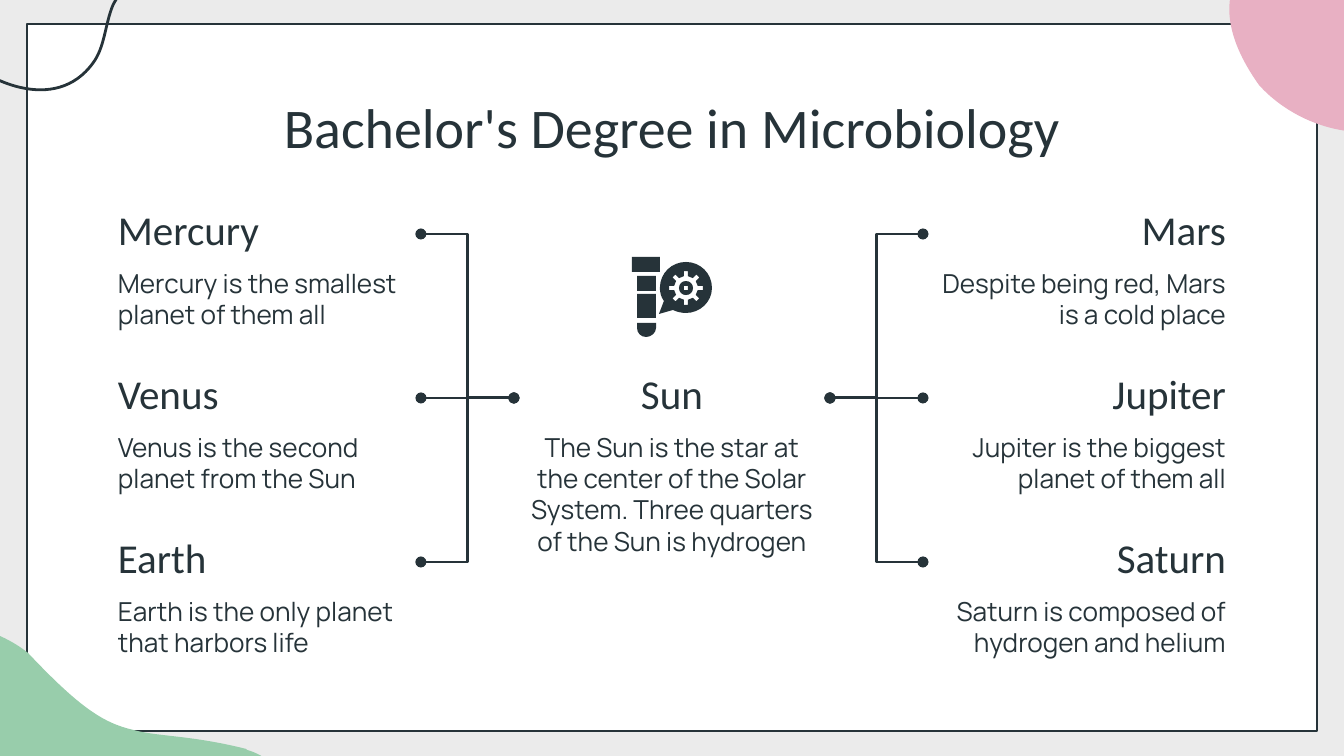
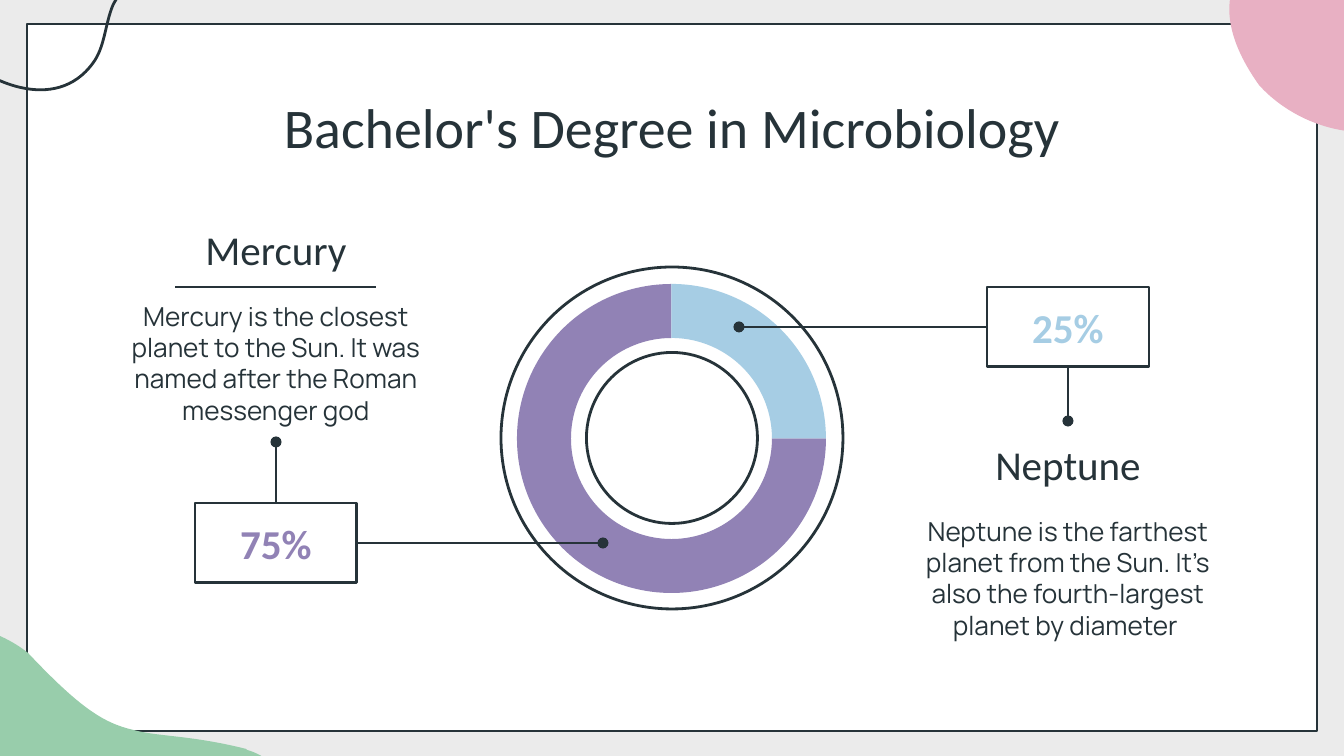
from dataclasses import dataclass
from math import cos, radians, sin

from lxml.etree import SubElement
from pptx import Presentation
from pptx.dml.color import RGBColor
from pptx.enum.shapes import MSO_CONNECTOR, MSO_SHAPE
from pptx.enum.text import MSO_ANCHOR, PP_ALIGN
from pptx.oxml.ns import qn
from pptx.util import Pt

EMU_PER_PX = 914400 * 10 / 1344
TOP, LEFT, BOTTOM, RIGHT = range(4)


@dataclass(frozen=True)
class Theme:
    backdrop: str = "EBEBEB"
    paper: str = "FFFFFF"
    ink: str = "263339"
    pink: str = "E8B0C3"
    green: str = "98CDAB"
    purple: str = "9182B5"
    blue: str = "A6CDE4"
    heading_font: str = "Calibri"
    body_font: str = "Manrope"
    title_size: int = 30
    heading_size: int = 22
    body_size: int = 14
    line_width: float = 1.5


THEME = Theme()
TITLE = "Bachelor's Degree in Microbiology"

# Outlines: a start point, then line points (x, y) or curves (x1, y1, x2, y2, x, y).
PINK_BLOB = [
    (1337, -69), (1259, -69, 1187, -16, 1259, 85), (1284, 113, 1324, 132, 1363, 132),
    (1384, 132, 1407, 125, 1425, 112), (1453, 86, 1464, 43, 1457, 7),
    (1443, -44, 1388, -69, 1337, -69),
]
GREEN_BLOB = [
    (-39, 624), (-50, 621, -59, 620, -70, 618), (-102, 612, -130, 641, -142, 671),
    (-164, 766, -70, 852, 17, 875), (20, 876, 24, 878, 28, 878),
    (98, 895, 294, 867, 286, 786), (282, 769, 265, 755, 247, 750),
    (247, 750, 246, 749, 246, 749), (190, 735, 159, 737, 133, 730),
    (103, 723, 79, 707, 28, 653), (8, 637, -15, 629, -39, 624),
]
LOOP = [
    (-50, 46), (-15, 83, 56, 114, 93, 63), (105, 47, 105, 24, 113, 5),
    (144, -54, 194, -17, 224, -46), (250, -86, 215, -134, 180, -157),
    (17, -284, -278, -126, -50, 46),
]
BUBBLE = [
    (686, 262), (672, 262, 660, 273, 660, 288), (660, 292, 661, 297, 664, 301),
    (659, 314), (673, 310), (677, 312, 682, 313, 686, 313),
    (700, 313, 712, 302, 712, 288), (712, 273, 700, 262, 686, 262),
]
HUB = [
    (686, 281), (682, 281, 679, 284, 679, 288), (679, 292, 682, 295, 686, 295),
    (690, 295, 693, 292, 693, 288), (693, 284, 690, 281, 686, 281),
]
HUB_HOLE = [(684, 286), (688, 286), (688, 290), (684, 290)]
TUBE_END = [
    (637, 323), (637, 328), (637, 333, 641, 337, 646, 337),
    (651, 337, 656, 333, 656, 328), (656, 323),
]
TUBE_PARTS = [(637, 276, 19, 15), (637, 294, 19, 24), (632, 257, 28, 15)]

LEFT_PLANETS = [
    ("Mercury", "Mercury is the smallest planet of them all"),
    ("Venus", "Venus is the second planet from the Sun"),
    ("Earth", "Earth is the only planet that harbors life"),
]
RIGHT_PLANETS = [
    ("Mars", "Despite being red, Mars is a cold place"),
    ("Jupiter", "Jupiter is the biggest planet of them all"),
    ("Saturn", "Saturn is composed of hydrogen and helium"),
]


def px(length):
    return round(length * EMU_PER_PX)


def rgb(color):
    return RGBColor.from_string(color)


def paint(shape, fill=None, line=None):
    shape.shadow.inherit = False
    if fill:
        shape.fill.solid()
        shape.fill.fore_color.rgb = rgb(fill)
    else:
        shape.fill.background()
    if line:
        shape.line.color.rgb = rgb(line)
        shape.line.width = Pt(THEME.line_width)
    else:
        shape.line.fill.background()


def add_figure(shapes, kind, frame, fill=None, line=None):
    shape = shapes.add_shape(kind, *map(px, frame))
    paint(shape, fill, line)
    return shape


def bend(shape, pieces):
    """Merge the three straight steps of every curve piece into one curve."""
    steps = shape._element.iter(qn("a:lnTo"))
    steps = iter(list(steps))
    for piece in pieces:
        group = [next(steps) for _ in range(len(piece) // 2)]
        if len(group) == 3:
            curve = group[0].makeelement(qn("a:cubicBezTo"))
            group[0].addprevious(curve)
            for step in group:
                curve.append(step[0])
                step.getparent().remove(step)


def add_outline(shapes, outlines, fill=None, line=None):
    """Draw closed outlines as one shape; inner ones become holes."""
    builder = None
    for start, *pieces in outlines:
        corner = tuple(map(px, start))
        if builder is None:
            builder = shapes.build_freeform(*corner)
        else:
            builder.move_to(*corner)
        builder.add_line_segments(
            [(px(piece[i]), px(piece[i + 1])) for piece in pieces
             for i in range(0, len(piece), 2)], close=True)
    shape = builder.convert_to_shape()
    bend(shape, [piece for outline in outlines for piece in outline[1:]])
    paint(shape, fill, line)


def write(box, text, size, font, color=THEME.ink, align=PP_ALIGN.CENTER,
          anchor=MSO_ANCHOR.TOP, bold=False):
    frame = box.text_frame
    frame.word_wrap = True
    frame.vertical_anchor = anchor
    frame.margin_left = frame.margin_right = px(13)
    frame.margin_top = frame.margin_bottom = px(13)
    para = frame.paragraphs[0]
    para.alignment = align
    span = para.add_run()
    span.text = text
    span.font.size = Pt(size)
    span.font.name = font
    span.font.bold = bold
    span.font.color.rgb = rgb(color)


def add_text(shapes, frame, *args, **style):
    box = shapes.add_textbox(*map(px, frame))
    write(box, *args, **style)
    return box


def add_topic(shapes, title, text, title_frame, text_frame, align=PP_ALIGN.CENTER):
    """Add a heading with its description and return both boxes."""
    heading = add_text(shapes, title_frame, title, THEME.heading_size,
                       THEME.heading_font, align=align, anchor=MSO_ANCHOR.BOTTOM)
    body = add_text(shapes, text_frame, text, THEME.body_size, THEME.body_font,
                    align=align)
    return heading, body


def locate(end):
    """Give the place of a connector end: (x, y) in px or (shape, side)."""
    target, side = end
    if isinstance(target, int):
        return px(target), px(side)
    across = {LEFT: 0, RIGHT: target.width}.get(side, target.width // 2)
    down = {TOP: 0, BOTTOM: target.height}.get(side, target.height // 2)
    return target.left + across, target.top + down


def add_wire(page, start, end, kind=MSO_CONNECTOR.STRAIGHT, dots=("tailEnd",)):
    wire = page.shapes.add_connector(kind, *locate(start), *locate(end))
    for place, connect in ((start, wire.begin_connect), (end, wire.end_connect)):
        if not isinstance(place[0], int):
            connect(*place)
    wire.line.color.rgb = rgb(THEME.ink)
    wire.line.width = Pt(THEME.line_width)
    outline = wire.line._get_or_add_ln()
    for dot in dots:
        SubElement(outline, qn(f"a:{dot}"), type="oval")
    SubElement(wire._element.spPr, qn("a:effectLst"))


def add_page(deck):
    page = deck.slides.add_slide(deck.slide_layouts[6])
    page.background.fill.solid()
    page.background.fill.fore_color.rgb = rgb(THEME.backdrop)
    add_figure(page.shapes, MSO_SHAPE.RECTANGLE, (27, 24, 1290, 707), THEME.paper, THEME.ink)
    add_outline(page.shapes, [PINK_BLOB], THEME.pink)
    add_outline(page.shapes, [GREEN_BLOB], THEME.green)
    add_outline(page.shapes, [LOOP], line=THEME.ink)
    add_text(page.shapes, (105, 80, 1134, 94), TITLE, THEME.title_size, THEME.heading_font)
    return page


def gear_outline(x, y):
    tooth = [(12, -10), (17, -7), (17, 7), (12, 10)]
    return [(x + radius * cos(radians(turn + angle)), y + radius * sin(radians(turn + angle)))
            for turn in range(0, 360, 45) for radius, angle in tooth]


def add_lab_icon(page):
    shapes = page.shapes.add_group_shape().shapes
    add_outline(shapes, [HUB, HUB_HOLE], THEME.ink)
    add_outline(shapes, [BUBBLE, gear_outline(686, 288)], THEME.ink)
    add_outline(shapes, [TUBE_END], THEME.ink)
    for part in TUBE_PARTS:
        add_figure(shapes, MSO_SHAPE.RECTANGLE, part, THEME.ink)


def add_planet(page, title, text, x, row, align, text_height=94):
    """Place a grouped topic whose heading is centred on the given row."""
    shapes = page.shapes.add_group_shape().shapes
    return add_topic(shapes, title, text, (x, row - 33, 316, 66),
                     (x, row + 20, 316, text_height), align)[0]


def build_planet_map(deck):
    page = add_page(deck)
    rows = [234 + 164 * index for index in range(3)]
    sides = [(LEFT_PLANETS, 105, PP_ALIGN.LEFT, LEFT, RIGHT),
             (RIGHT_PLANETS, 923, PP_ALIGN.RIGHT, RIGHT, LEFT)]
    links = []
    for planets, x, align, sun_side, planet_side in sides:
        for row, (title, text) in zip(rows, planets):
            heading = add_planet(page, title, text, x, row, align)
            kind = MSO_CONNECTOR.STRAIGHT if row == rows[1] else MSO_CONNECTOR.ELBOW
            links.append((sun_side, (heading, planet_side), kind))
    sun = add_planet(page, "Sun", "The Sun is the star at the center of the Solar System. "
                     "Three quarters of the Sun is hydrogen", 514, rows[1],
                     PP_ALIGN.CENTER, 155)
    add_lab_icon(page)
    for sun_side, end, kind in links:
        add_wire(page, (sun, sun_side), end, kind, ("headEnd", "tailEnd"))


def add_arc(page, color, start, rotation=0):
    size, thickness = 309, 54
    arc = add_figure(page.shapes, MSO_SHAPE.BLOCK_ARC, (517, 284, size, size), color)
    for index, value in enumerate((start, 0, thickness / size)):
        arc.adjustments[index] = value
    arc.rotation = rotation


def add_share(page, x, y, text, color):
    box = add_figure(page.shapes, MSO_SHAPE.RECTANGLE, (x, y, 162, 80), line=THEME.ink)
    write(box, text, THEME.heading_size, THEME.heading_font, color,
          anchor=MSO_ANCHOR.MIDDLE, bold=True)
    return box


def build_share_ring(deck):
    page = add_page(deck)
    ring = add_figure(page.shapes, MSO_SHAPE.DONUT, (501, 267, 342, 342), line=THEME.ink)
    ring.adjustments[0] = 0.25
    add_arc(page, THEME.purple, 54, 270)
    add_arc(page, THEME.blue, 162)

    mercury_text = add_topic(
        page.shapes, "Mercury", "Mercury is the closest planet to the Sun. It was named "
        "after the Roman messenger god", (105, 206, 342, 81), (105, 287, 342, 155))[1]
    neptune = page.shapes.add_group_shape().shapes
    neptune_title = add_topic(
        neptune, "Neptune", "Neptune is the farthest planet from the Sun. It’s also the "
        "fourth-largest planet by diameter ", (897, 421, 342, 81), (897, 502, 342, 155))[0]

    neptune_share = add_share(page, 987, 287, "25%", THEME.blue)
    add_wire(page, (neptune_share, LEFT), (739, 327))
    mercury_share = add_share(page, 195, 503, "75%", THEME.purple)
    add_wire(page, (mercury_share, RIGHT), (603, 543))
    add_wire(page, (mercury_share, TOP), (mercury_text, BOTTOM))
    add_wire(page, (neptune_share, BOTTOM), (neptune_title, TOP))
    add_wire(page, (376, 287), (175, 287), dots=())


def main():
    deck = Presentation()
    deck.slide_width, deck.slide_height = px(1344), px(756)
    build_planet_map(deck)
    build_share_ring(deck)
    deck.save("out.pptx")


if __name__ == "__main__":
    main()
